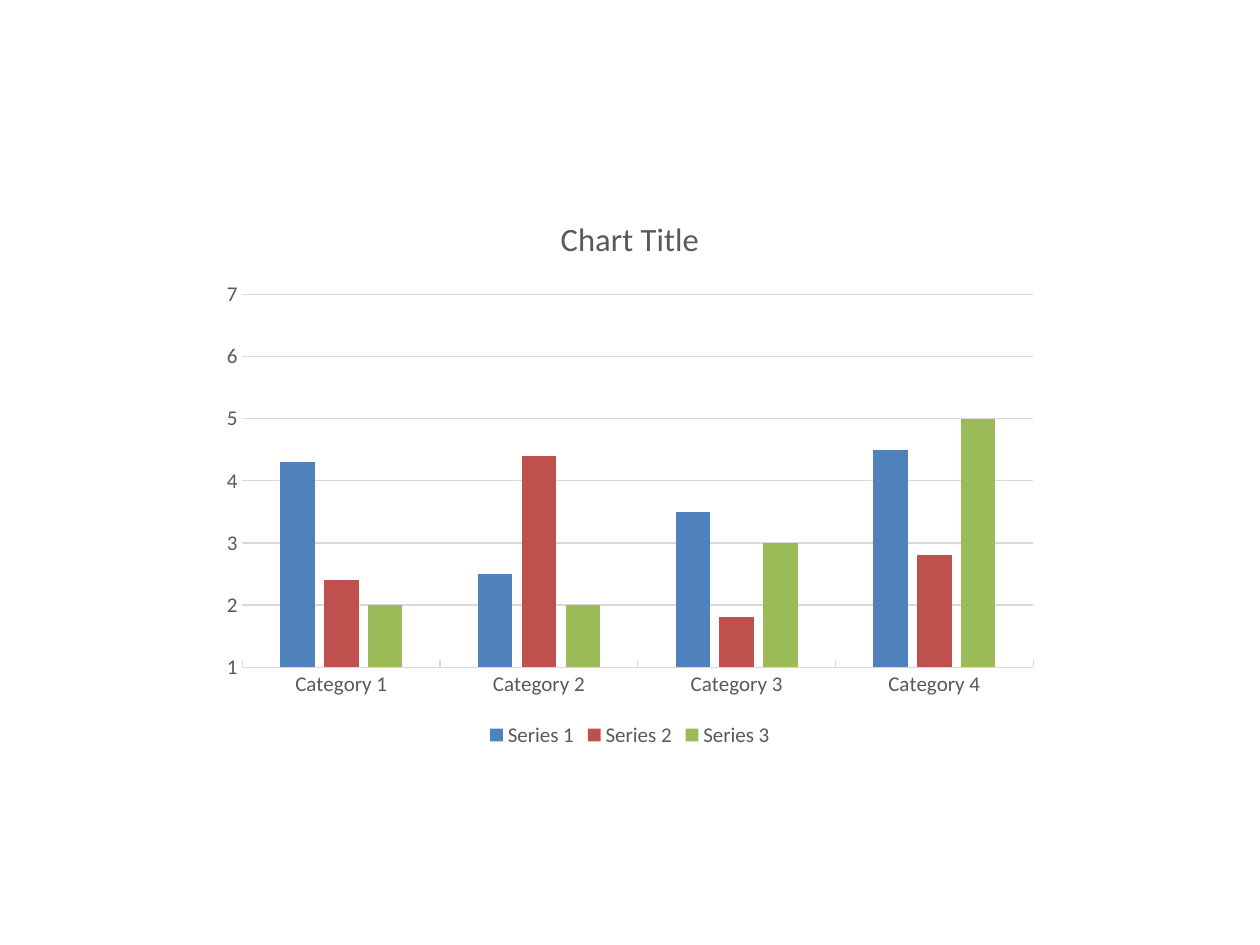
from dataclasses import dataclass

from pptx import Presentation
from pptx.chart.data import CategoryChartData
from pptx.dml.color import RGBColor
from pptx.enum.chart import XL_CHART_TYPE, XL_LEGEND_POSITION, XL_TICK_MARK
from pptx.util import Pt

COLUMN = XL_CHART_TYPE.COLUMN_CLUSTERED
BOTTOM = XL_LEGEND_POSITION.BOTTOM
INSIDE, NONE = XL_TICK_MARK.INSIDE, XL_TICK_MARK.NONE


@dataclass(frozen=True)
class Theme:
    face: str = "Calibri"
    text: str = "595959"
    rule: str = "D9D9D9"
    bars: tuple = ("4F81BD", "C0504D", "9BBB59")
    title: float = 18.6
    label: float = 12
    base: float = 10


THEME = Theme()
SERIES = {
    "Series 1": (4.3, 2.5, 3.5, 4.5),
    "Series 2": (2.4, 4.4, 1.8, 2.8),
    "Series 3": (2, 2, 3, 5),
}


def set_font(font, size, color=THEME.text):
    font.name = THEME.face
    font.size = Pt(size)
    font.bold = False
    font.color.rgb = RGBColor.from_string(color)


def set_line(line):
    line.color.rgb = RGBColor.from_string(THEME.rule)
    line.width = Pt(0.75)


def add_bars(slide):
    data = CategoryChartData()
    data.categories = [f"Category {n}" for n in range(1, 5)]
    for name, vals in SERIES.items():
        data.add_series(name, vals)
    frame = slide.shapes.add_chart(
        COLUMN, Pt(120), Pt(110), Pt(480), Pt(320), data)
    chart = frame.chart
    set_font(chart.font, THEME.base, "000000")

    plot = chart.plots[0]
    plot.gap_width = 219
    plot.overlap = -27
    plot.vary_by_categories = False
    for bar, color in zip(plot.series, THEME.bars):
        bar.format.fill.solid()
        bar.format.fill.fore_color.rgb = RGBColor.from_string(color)
    return chart


def add_title(chart, text):
    chart.has_title = True
    frame = chart.chart_title.text_frame
    frame.text = text
    set_font(frame.paragraphs[0].font, THEME.title)
    chart.chart_title.include_in_layout = False


def style_axes(chart):
    cats, vals = chart.category_axis, chart.value_axis
    for axis, tick in ((cats, INSIDE), (vals, NONE)):
        axis.major_tick_mark = tick
        axis.minor_tick_mark = NONE
        set_font(axis.tick_labels.font, THEME.label)
    set_line(cats.format.line)
    vals.format.line.fill.background()
    vals.minimum_scale = 1
    vals.maximum_scale = 7
    vals.major_unit = 1
    vals.has_major_gridlines = True
    set_line(vals.major_gridlines.format.line)


def add_legend(chart):
    chart.has_legend = True
    chart.legend.position = BOTTOM
    chart.legend.include_in_layout = False
    set_font(chart.legend.font, THEME.label)


def main():
    deck = Presentation()
    deck.slide_width, deck.slide_height = Pt(720), Pt(540)
    slide = deck.slides.add_slide(deck.slide_layouts[6])
    chart = add_bars(slide)
    add_title(chart, "Chart Title")
    style_axes(chart)
    add_legend(chart)
    deck.save("out.pptx")


if __name__ == "__main__":
    main()
